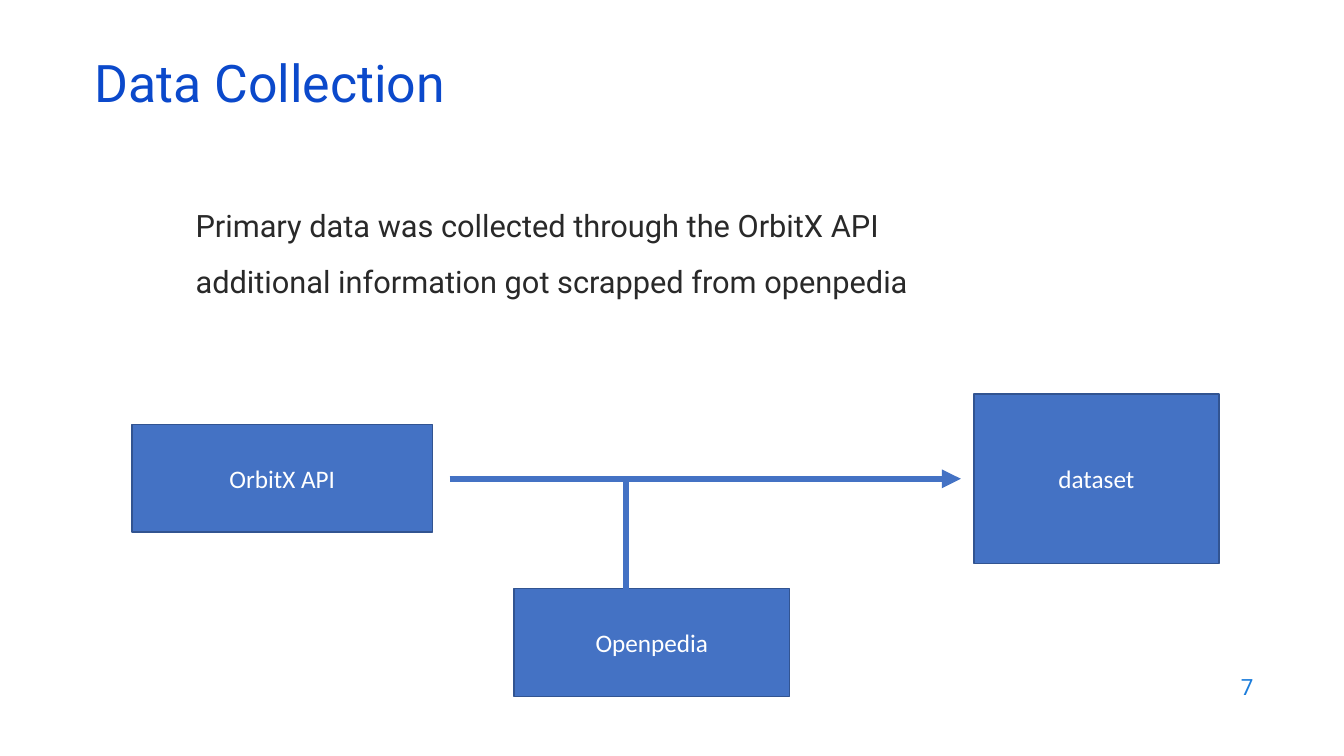
from lxml import etree
from pptx import Presentation
from pptx.dml.color import RGBColor
from pptx.enum.shapes import MSO_CONNECTOR, MSO_SHAPE
from pptx.enum.text import MSO_ANCHOR, PP_ALIGN
from pptx.oxml.ns import qn
from pptx.util import Inches, Pt

COLORS = {
    "title": "0B49CB",
    "body": "292929",
    "number": "1C7DDB",
    "box": "4472C4",
    "outline": "325491",
    "label": "FFFFFF",
}

TITLE = "Data Collection"
STATEMENTS = [
    "Primary data was collected through the OrbitX API",
    "additional information got scrapped from openpedia",
]
SLIDE_NUMBER = "7"

# label, (left, top, width, height)
BOXES = [
    ("OrbitX API", (1.31, 4.21, 2.98, 1.07)),
    ("Openpedia", (5.1, 5.84, 2.73, 1.07)),
    ("dataset", (9.66, 3.91, 2.43, 1.68)),
]
FLOW_Y = 4.75
# start, end, has arrowhead
LINES = [
    ((4.46, FLOW_Y), (9.53, FLOW_Y), True),
    ((6.21, FLOW_Y), (6.21, 5.95), False),
]


def color(name):
    return RGBColor.from_string(COLORS[name])


def add_run(paragraph, text, size, font_name, color_name):
    run = paragraph.add_run()
    run.text = text
    run.font.size = Pt(size)
    run.font.name = font_name
    run.font.color.rgb = color(color_name)


def add_text_frame(slide, area, anchor=MSO_ANCHOR.MIDDLE):
    frame = slide.shapes.add_textbox(*map(Inches, area)).text_frame
    frame.word_wrap = True
    frame.vertical_anchor = anchor
    return frame


def add_title(slide):
    paragraph = add_text_frame(slide, (0.84, 0.59, 11.5, 0.6)).paragraphs[0]
    paragraph.line_spacing = 0.7
    add_run(paragraph, TITLE, 37, "Roboto", "title")


def add_statements(slide):
    frame = add_text_frame(slide, (0.84, 2, 11.5, 4.76), MSO_ANCHOR.TOP)
    frame.margin_left = Inches(1.1)
    for index, statement in enumerate(STATEMENTS):
        paragraph = frame.add_paragraph() if index else frame.paragraphs[0]
        if index:
            paragraph.space_before = Pt(14)
        add_run(paragraph, statement, 22, "Roboto", "body")


def add_slide_number(slide):
    paragraph = add_text_frame(slide, (9.53, 6.59, 3, 0.44)).paragraphs[0]
    paragraph.alignment = PP_ALIGN.RIGHT
    add_run(paragraph, SLIDE_NUMBER, 16, "Roboto", "number")


def add_box(slide, label, area):
    shape = slide.shapes.add_shape(MSO_SHAPE.RECTANGLE, *map(Inches, area))
    shape.shadow.inherit = False
    shape.fill.solid()
    shape.fill.fore_color.rgb = color("box")
    shape.line.color.rgb = color("outline")
    shape.line.width = Pt(1)
    frame = shape.text_frame
    frame.vertical_anchor = MSO_ANCHOR.MIDDLE
    paragraph = frame.paragraphs[0]
    paragraph.alignment = PP_ALIGN.CENTER
    add_run(paragraph, label, 18, "Calibri", "label")


def add_line(slide, start, end, has_arrowhead):
    connector = slide.shapes.add_connector(
        MSO_CONNECTOR.STRAIGHT, *map(Inches, start + end))
    connector.line.color.rgb = color("box")
    connector.line.width = Pt(4.5)
    properties = connector._element.spPr
    if has_arrowhead:
        outline = properties.find(qn("a:ln"))
        etree.SubElement(outline, qn("a:tailEnd"), type="triangle")
    etree.SubElement(properties, qn("a:effectLst"))


def main():
    presentation = Presentation()
    presentation.slide_width = Inches(13.33)
    presentation.slide_height = Inches(7.5)
    slide = presentation.slides.add_slide(presentation.slide_layouts[6])
    add_slide_number(slide)
    add_statements(slide)
    add_title(slide)
    for label, area in BOXES:
        add_box(slide, label, area)
    for start, end, has_arrowhead in LINES:
        add_line(slide, start, end, has_arrowhead)
    presentation.save("out.pptx")


if __name__ == "__main__":
    main()
